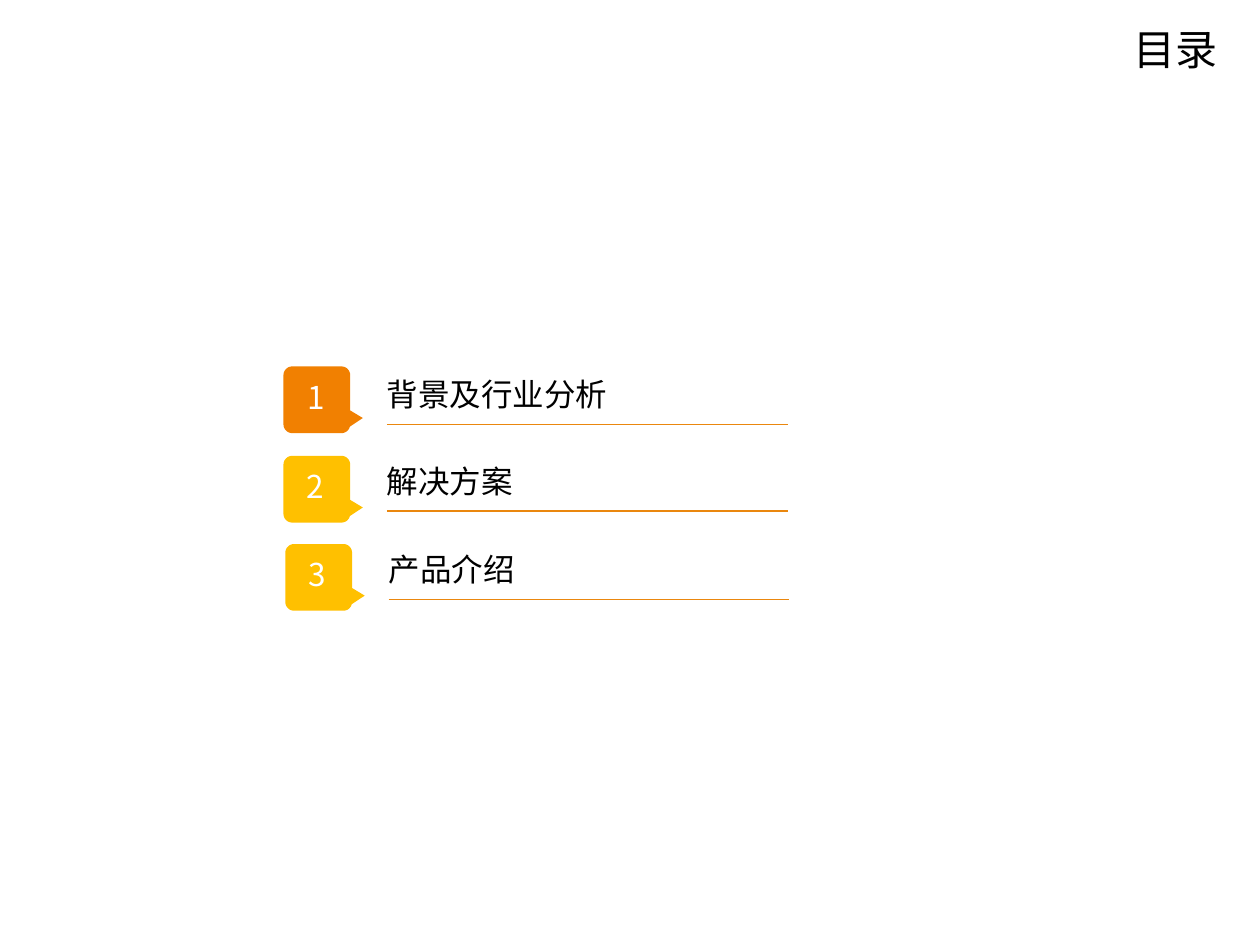
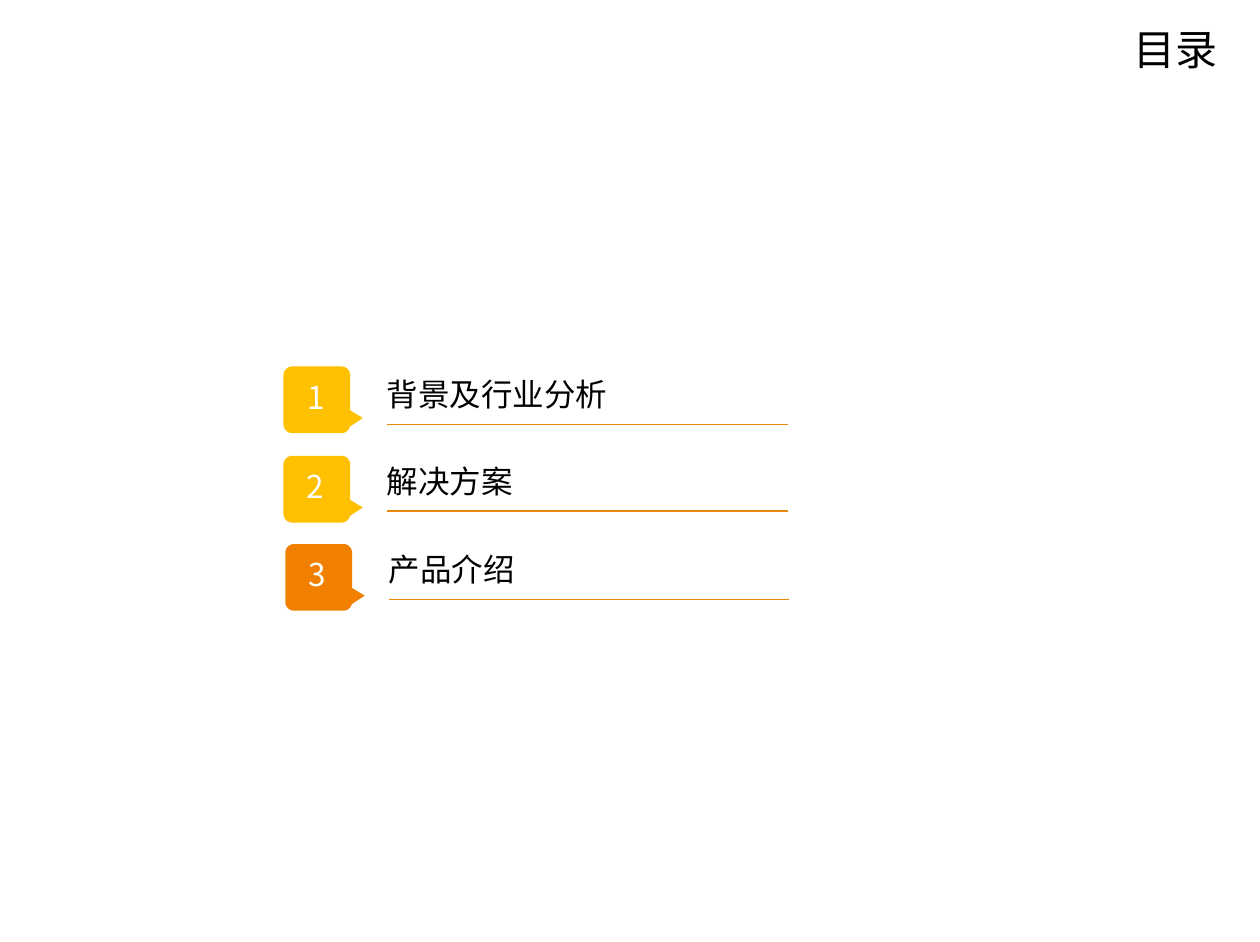
from dataclasses import dataclass
from math import cos, radians, sin

from lxml.etree import SubElement
from pptx import Presentation
from pptx.dml.color import RGBColor
from pptx.enum.shapes import MSO_CONNECTOR as Connector
from pptx.enum.text import MSO_AUTO_SIZE as AutoSize, PP_ALIGN as Align
from pptx.oxml.ns import qn
from pptx.slide import Slide
from pptx.util import Inches, Pt

FONT = "Noto Sans CJK SC"
COLORS = {
    "text": "000000",
    "number": "FFFFFF",
    "current": "F18001",
    "other": "FFC000",
    "rule": "EA870E",
}
BADGE_SIZE = 0.53
CORNER_RADIUS = 0.07
RULE_LENGTH = 3.18
LABEL_OFFSET = 0.82


@dataclass
class Section:
    number: str
    label: str
    left: float
    badge_top: float
    rule_top: float
    label_width: float
    number_left: float
    number_width: float
    number_height: float = 0.3


SECTIONS = [
    Section("1", "背景及行业分析", 2.25, 2.91, 3.37, 1.77, 2.44, 0.26, 0.43),
    Section("2", "解决方案", 2.25, 3.62, 4.06, 1.01, 2.43, 0.15),
    Section("3", "产品介绍", 2.265, 4.32, 4.76, 1.01, 2.45, 0.3),
]
CURRENT_SECTIONS = ["1", "3"]


def rgb(name: str) -> RGBColor:
    return RGBColor.from_string(COLORS[name])


def add_text(s: Slide, text: str, left: float, top: float, width: float, height: float,
             size: int = 18, color: str = "text", tight: bool = True) -> None:
    tf = s.shapes.add_textbox(Inches(left), Inches(top), Inches(width), Inches(height)).text_frame
    tf.text = text
    tf.word_wrap = not tight
    tf.auto_size = AutoSize.SHAPE_TO_FIT_TEXT
    p = tf.paragraphs[0]
    if tight:
        tf.margin_left = tf.margin_top = tf.margin_right = tf.margin_bottom = 0
    else:
        p.alignment = Align.RIGHT
    r = p.runs[0]
    r.font.size = Pt(size)
    r.font.name = FONT
    r.font.color.rgb = rgb(color)
    SubElement(r.font._element, qn("a:ea"), typeface=FONT)


def corner(x: float, y: float, start: int, end: int, steps: int = 8) -> list[tuple[float, float]]:
    angles = [radians(start + (end - start) * i / steps) for i in range(steps + 1)]
    return [(x + CORNER_RADIUS * cos(a), y + CORNER_RADIUS * sin(a)) for a in angles]


def badge_outline() -> list[tuple[float, float]]:
    near, far = CORNER_RADIUS, BADGE_SIZE - CORNER_RADIUS
    return [
        *corner(far, far, 90, 15),
        (0.63, 0.41),
        (BADGE_SIZE, 0.35),
        *corner(far, near, 0, -90),
        *corner(near, near, -90, -180),
        *corner(near, far, 180, 90),
    ]


def add_badge(s: Slide, left: float, top: float, color: str) -> None:
    points = [(Inches(left + x), Inches(top + y)) for x, y in badge_outline()]
    builder = s.shapes.build_freeform(*points[0])
    builder.add_line_segments(points[1:], close=True)
    sp = builder.convert_to_shape()
    sp.shadow.inherit = False
    sp.fill.solid()
    sp.fill.fore_color.rgb = rgb(color)
    sp.line.fill.background()


def add_rule(s: Slide, left: float, top: float) -> None:
    line = s.shapes.add_connector(Connector.STRAIGHT, Inches(left), Inches(top),
                                  Inches(left + RULE_LENGTH), Inches(top))
    line.line.color.rgb = rgb("rule")
    line.line.width = Pt(1)
    SubElement(line._element.spPr, qn("a:effectLst"))


def add_section(s: Slide, section: Section, is_current: bool) -> None:
    text_left = section.left + LABEL_OFFSET
    add_badge(s, section.left, section.badge_top, "current" if is_current else "other")
    add_text(s, section.label, text_left, section.rule_top - 0.39, section.label_width, 0.3)
    add_rule(s, text_left, section.rule_top)
    add_text(s, section.number, section.number_left, section.badge_top + 0.09,
             section.number_width, section.number_height, color="number")


def add_contents_slide(prs: Presentation, current: str) -> None:
    s = prs.slides.add_slide(prs.slide_layouts[6])
    add_text(s, "目录", 4.07, 0.14, 5.69, 0.5, size=24, tight=False)
    for section in SECTIONS:
        add_section(s, section, section.number == current)


def main() -> None:
    prs = Presentation()
    prs.slide_width = Inches(10)
    prs.slide_height = Inches(7.48)
    for current in CURRENT_SECTIONS:
        add_contents_slide(prs, current)
    prs.save("out.pptx")


if __name__ == "__main__":
    main()
